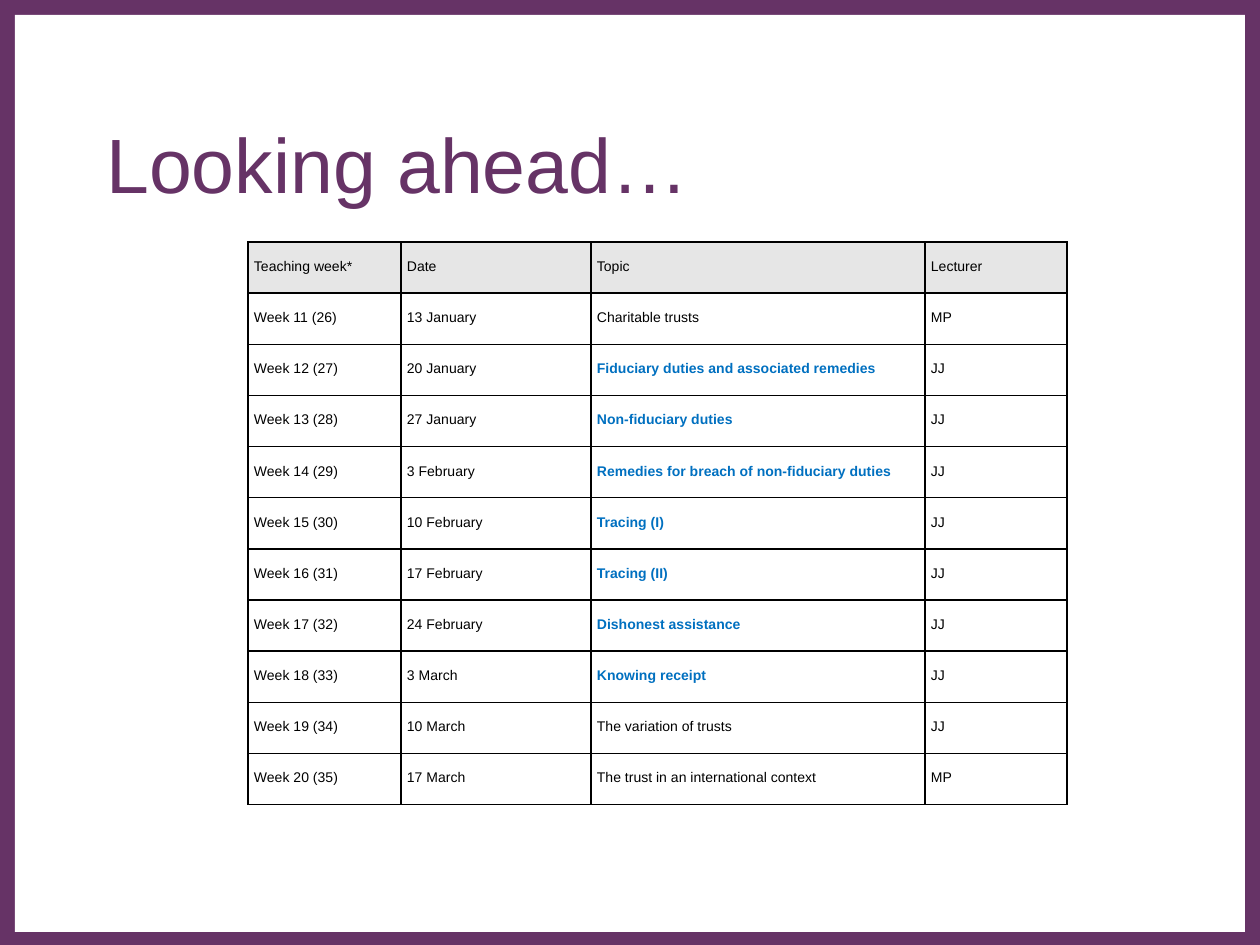
from lxml import etree
from pptx import Presentation
from pptx.dml.color import RGBColor
from pptx.enum.shapes import MSO_SHAPE
from pptx.enum.text import MSO_ANCHOR
from pptx.oxml import parse_xml
from pptx.oxml.ns import nsdecls
from pptx.util import Emu, Pt


def px(n):
    return Emu(round(n * 914400 / 126))


def rgb(value):
    return RGBColor.from_string(value)


PURPLE, BLUE, BLACK, GREY, WHITE = "663366", "0070C0", "000000", "E6E6E6", "FFFFFF"

prs = Presentation()
prs.slide_width, prs.slide_height = px(1260), px(945)
s = prs.slides.add_slide(prs.slide_layouts[6])

# Purple frame around a white page
for box, color in [((0, 0, 1260, 945), PURPLE), ((15, 15, 1230, 917), WHITE)]:
    sp = s.shapes.add_shape(MSO_SHAPE.RECTANGLE, *map(px, box))
    sp.shadow.inherit = False
    sp.fill.solid()
    sp.fill.fore_color.rgb = rgb(color)
    sp.line.fill.background()

# Title
tf = s.shapes.add_textbox(px(94), px(84), px(1071), px(158)).text_frame
tf.word_wrap = True
tf.vertical_anchor = MSO_ANCHOR.MIDDLE
tf.text = "Looking ahead…"
font = tf.paragraphs[0].runs[0].font
font.name, font.size, font.color.rgb = "Arial", Pt(44), rgb(PURPLE)

# Lecture schedule
rows = [
    ("Teaching week*", "Date", "Topic", "Lecturer"),
    ("Week 11 (26)", "13 January", "Charitable trusts", "MP"),
    ("Week 12 (27)", "20 January", "Fiduciary duties and associated remedies", "JJ"),
    ("Week 13 (28)", "27 January", "Non-fiduciary duties", "JJ"),
    ("Week 14 (29)", "3 February", "Remedies for breach of non-fiduciary duties", "JJ"),
    ("Week 15 (30)", "10 February", "Tracing (I)", "JJ"),
    ("Week 16 (31)", "17 February", "Tracing (II)", "JJ"),
    ("Week 17 (32)", "24 February", "Dishonest assistance", "JJ"),
    ("Week 18 (33)", "3 March", "Knowing receipt", "JJ"),
    ("Week 19 (34)", "10 March", "The variation of trusts", "JJ"),
    ("Week 20 (35)", "17 March", "The trust in an international context", "MP"),
]
widths = [153, 190, 334, 142]
highlighted = range(2, 9)

table = s.shapes.add_table(len(rows), len(widths), px(248), px(242),
                           px(sum(widths)), px(563)).table
table.first_row = table.horz_banding = False
for col, width in zip(table.columns, widths):
    col.width = px(width)

for i, row in enumerate(rows):
    for j, text in enumerate(row):
        cell = table.cell(i, j)
        cell.margin_left = cell.margin_right = px(6)
        cell.margin_top, cell.margin_bottom = px(1), 0

        # Borders go ahead of the fill
        tc_pr = cell._tc.get_or_add_tcPr()
        for side in ("lnL", "lnR", "lnT", "lnB"):
            ln = parse_xml(f'<a:{side} {nsdecls("a")} w="12700"/>')
            fill = etree.SubElement(ln, ln.tag.replace(side, "solidFill"))
            etree.SubElement(fill, ln.tag.replace(side, "srgbClr"), val=BLACK)
            tc_pr.append(ln)
        if i == 0:
            cell.fill.solid()
            cell.fill.fore_color.rgb = rgb(GREY)
        else:
            cell.fill.background()

        p = cell.text_frame.paragraphs[0]
        p.text = text
        p.line_spacing = 2.0
        wide_gap = i > 0 and (j == 3 or (j == 2 and i < 3))
        p.space_after = Pt(8 if wide_gap else 6)
        key_topic = j == 2 and i in highlighted
        font = p.runs[0].font
        font.name, font.size, font.bold = "Arial", Pt(8), key_topic
        font.color.rgb = rgb(BLUE if key_topic else BLACK)

prs.save("out.pptx")
